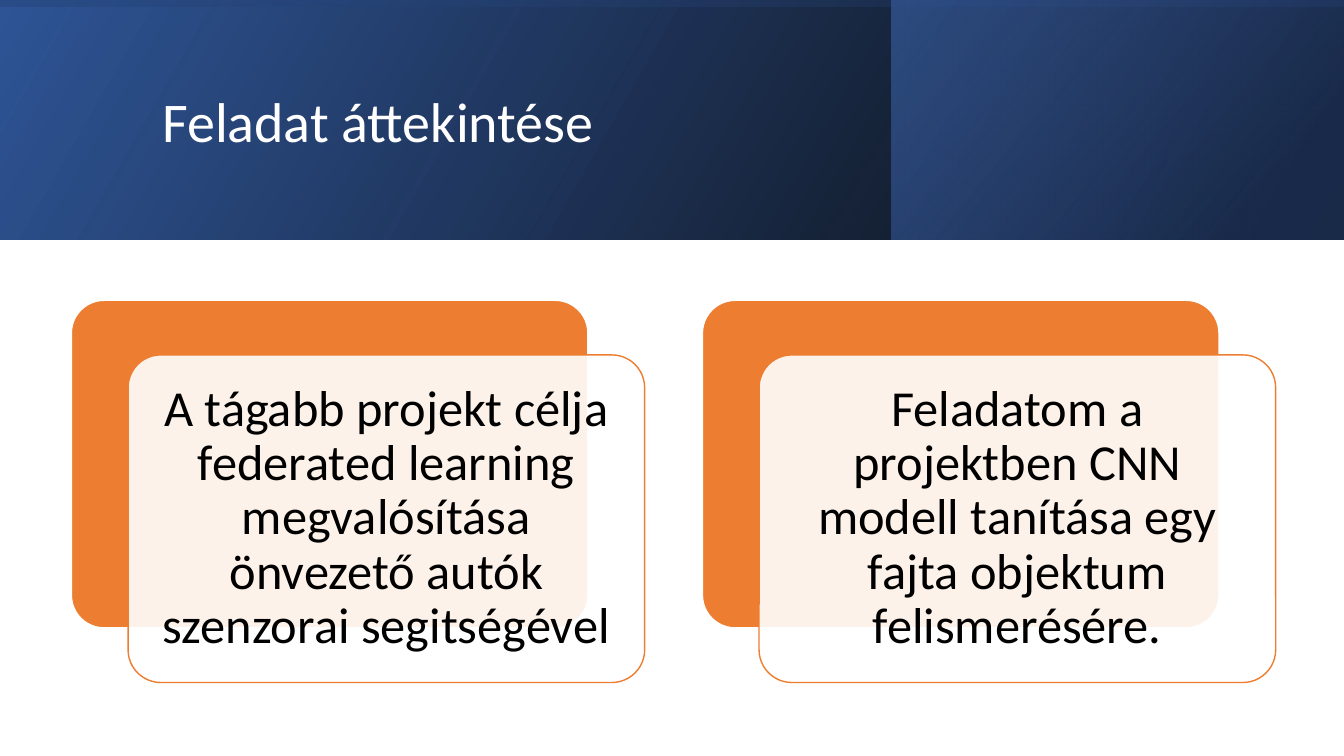
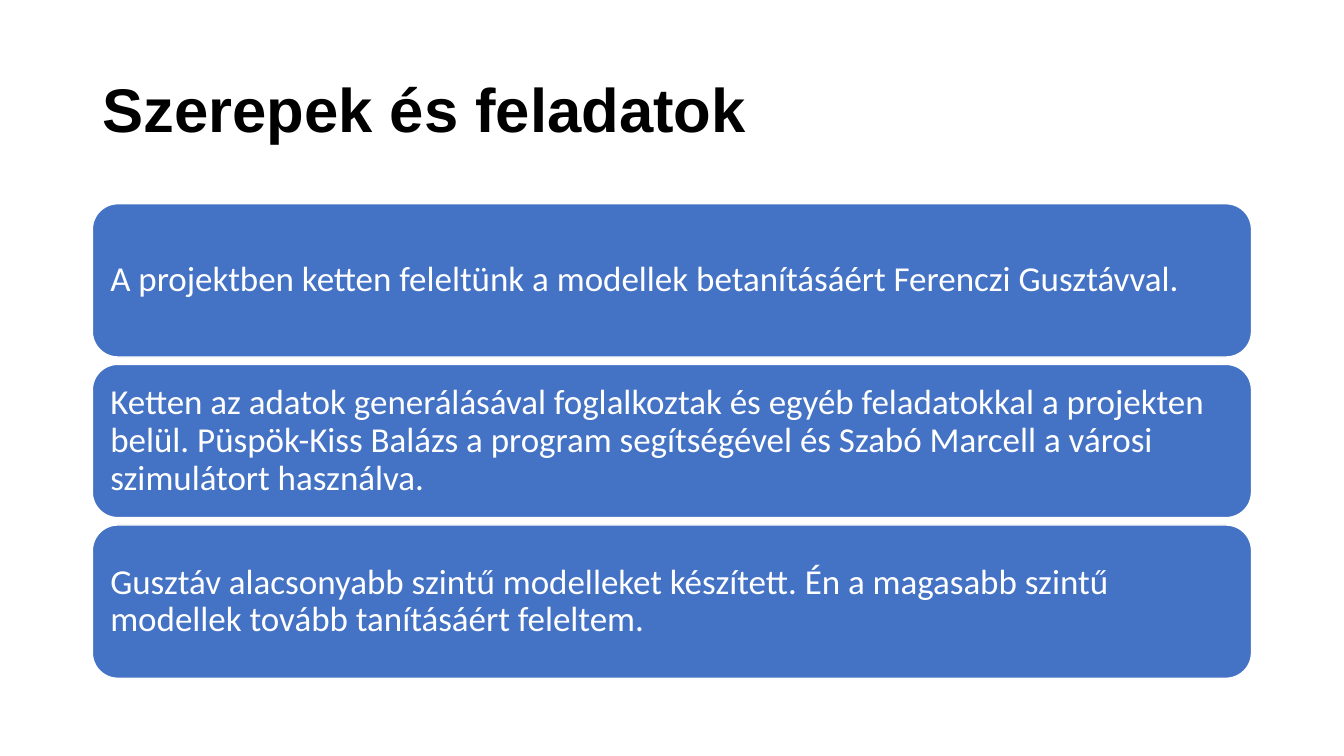
from collections import namedtuple
from dataclasses import dataclass

from lxml.etree import SubElement
from pptx import Presentation
from pptx.dml.color import RGBColor
from pptx.enum.shapes import MSO_SHAPE
from pptx.enum.text import MSO_ANCHOR, MSO_AUTO_SIZE, PP_ALIGN
from pptx.oxml.ns import qn
from pptx.util import Emu, Pt

Box = namedtuple("Box", "x y w h")
SCALE = 9525  # EMU per px, 96 px to the inch
SLIDE = Box(0, 0, 1280, 720)


@dataclass(frozen=True)
class Theme:
    white: str = "FFFFFF"
    black: str = "000000"
    orange: str = "ED7D31"
    blue: str = "4472C4"
    mid_blue: str = "2F5597"
    deep_blue: str = "203864"
    font: str = "Calibri"
    heading_font: str = "Arial"
    band_title: int = 40
    plain_title: int = 44
    card_text: int = 36
    bar_text: int = 25


T = Theme()


def px(n):
    return Emu(round(n * SCALE))


def place(sp, box):
    sp.left, sp.top, sp.width, sp.height = map(px, box)


def set_alpha(color, percent):
    SubElement(color, qn("a:alpha")).set("val", str(percent * 1000))


def write(sp, text, size, color, font=T.font, bold=False,
          align=PP_ALIGN.LEFT, inset=None):
    tf = sp.text_frame
    tf.word_wrap = True
    tf.auto_size = MSO_AUTO_SIZE.NONE
    tf.vertical_anchor = MSO_ANCHOR.MIDDLE
    if inset is not None:
        tf.margin_left = tf.margin_right = px(inset)
        tf.margin_top = tf.margin_bottom = px(inset)
    p = tf.paragraphs[0]
    p.alignment = align
    p.line_spacing = 0.9
    r = p.add_run()
    r.text = text
    r.font.name = font
    r.font.size = Pt(size)
    r.font.bold = bold
    r.font.color.rgb = RGBColor.from_string(color)


def add_title(slide, box, text, **fmt):
    title = slide.shapes.title
    place(title, box)
    write(title, text, **fmt)
    slide.shapes._spTree.append(title._element)  # in front of any bands


def add_panel(slide, box, fill, line, alpha=None, radius=None):
    sp = slide.shapes.add_shape(MSO_SHAPE.ROUNDED_RECTANGLE, *map(px, box))
    sp.shadow.inherit = False
    if radius is not None:
        sp.adjustments[0] = radius
    sp.fill.solid()
    sp.fill.fore_color.rgb = RGBColor.from_string(fill)
    if alpha is not None:
        set_alpha(sp._element.spPr.find(".//" + qn("a:srgbClr")), alpha)
    sp.line.color.rgb = RGBColor.from_string(line)
    sp.line.width = Pt(1)
    return sp


def add_gradient(slide, box, stops, angle, rotation=0):
    """Mirrored rectangle; stops are (position %, colour, opacity %)."""
    sp = slide.shapes.add_shape(MSO_SHAPE.RECTANGLE, *map(px, box))
    sp.shadow.inherit = False
    sp.rotation = rotation
    sp.line.fill.background()
    sp.fill.gradient()
    spPr = sp._element.spPr
    spPr.find(qn("a:xfrm")).set("flipH", "1")
    grad = spPr.find(qn("a:gradFill"))
    for child in list(grad):
        grad.remove(child)
    gs_list = SubElement(grad, qn("a:gsLst"))
    for pos, color, alpha in stops:
        gs = SubElement(gs_list, qn("a:gs"))
        gs.set("pos", str(pos * 1000))
        clr = SubElement(gs, qn("a:srgbClr"))
        clr.set("val", color)
        set_alpha(clr, alpha)
    lin = SubElement(grad, qn("a:lin"))
    lin.set("ang", str(angle * 60000))
    lin.set("scaled", "0")


def add_header_band(slide, box):
    x, y, w, h = box
    accent_w = 431
    add_gradient(slide, box, [(0, T.black, 96), (100, T.mid_blue, 100)], 330)
    add_gradient(slide, Box(x + w - accent_w, y, accent_w, h),
                 [(19, T.deep_blue, 68), (100, T.blue, 48)], 320)
    # Upright rectangle turned on its centre to cover the band
    upright = Box(x + (w - h) / 2, y + (h - w) / 2, h, w)
    add_gradient(slide, upright,
                 [(23, T.mid_blue, 16), (99, T.black, 45)], 350, rotation=270)


def add_cards(slide, box, texts, gap=55, dx=54, dy=52):
    col_w = (box.w - gap * (len(texts) - 1)) / len(texts)
    w, h = col_w - dx, box.h - dy
    for i, text in enumerate(texts):
        x = box.x + i * (col_w + gap)
        add_panel(slide, Box(x, box.y, w, h), T.orange, T.white, radius=0.1)
        front = add_panel(slide, Box(x + dx, box.y + dy, w, h),
                          T.white, T.orange, alpha=90, radius=0.1)
        write(front, text, size=T.card_text, color=T.black,
              align=PP_ALIGN.CENTER, inset=14)


def add_bars(slide, box, texts, gap=7):
    h = (box.h - gap * (len(texts) - 1)) / len(texts)
    for i, text in enumerate(texts):
        bar = add_panel(slide, Box(box.x, box.y + i * (h + gap), box.w, h),
                        T.blue, T.white)
        write(bar, text, size=T.bar_text, color=T.white, inset=10)


def overview_slide(prs, layout):
    slide = prs.slides.add_slide(layout)
    add_header_band(slide, Box(0, 0, SLIDE.w, 228))
    add_title(slide, Box(145, 36, 1020, 165), "Feladat áttekintése",
              size=T.band_title, color=T.white)
    add_cards(slide, Box(68, 286, 1147, 364), [
        "A tágabb projekt célja federated learning megvalósítása "
        "önvezető autók szenzorai segitségével",
        "Feladatom a projektben CNN modell tanítása egy fajta objektum "
        "felismerésére.",
    ])


def roles_slide(prs, layout):
    slide = prs.slides.add_slide(layout)
    add_title(slide, Box(88, 38, 1104, 139), "Szerepek és feladatok",
              size=T.plain_title, color=T.black, font=T.heading_font, bold=True)
    add_bars(slide, Box(88, 194, 1104, 452), [
        "A projektben ketten feleltünk a modellek betanításáért Ferenczi "
        "Gusztávval.",
        "Ketten az adatok generálásával foglalkoztak és egyéb feladatokkal "
        "a projekten belül. Püspök-Kiss Balázs a program segítségével és "
        "Szabó Marcell a városi szimulátort használva.",
        "Gusztáv alacsonyabb szintű modelleket készített. Én a magasabb "
        "szintű modellek tovább tanításáért feleltem.",
    ])


def main():
    prs = Presentation()
    prs.slide_width, prs.slide_height = px(SLIDE.w), px(SLIDE.h)
    title_only = prs.slide_layouts[5]
    overview_slide(prs, title_only)
    roles_slide(prs, title_only)
    prs.save("out.pptx")


if __name__ == "__main__":
    main()
